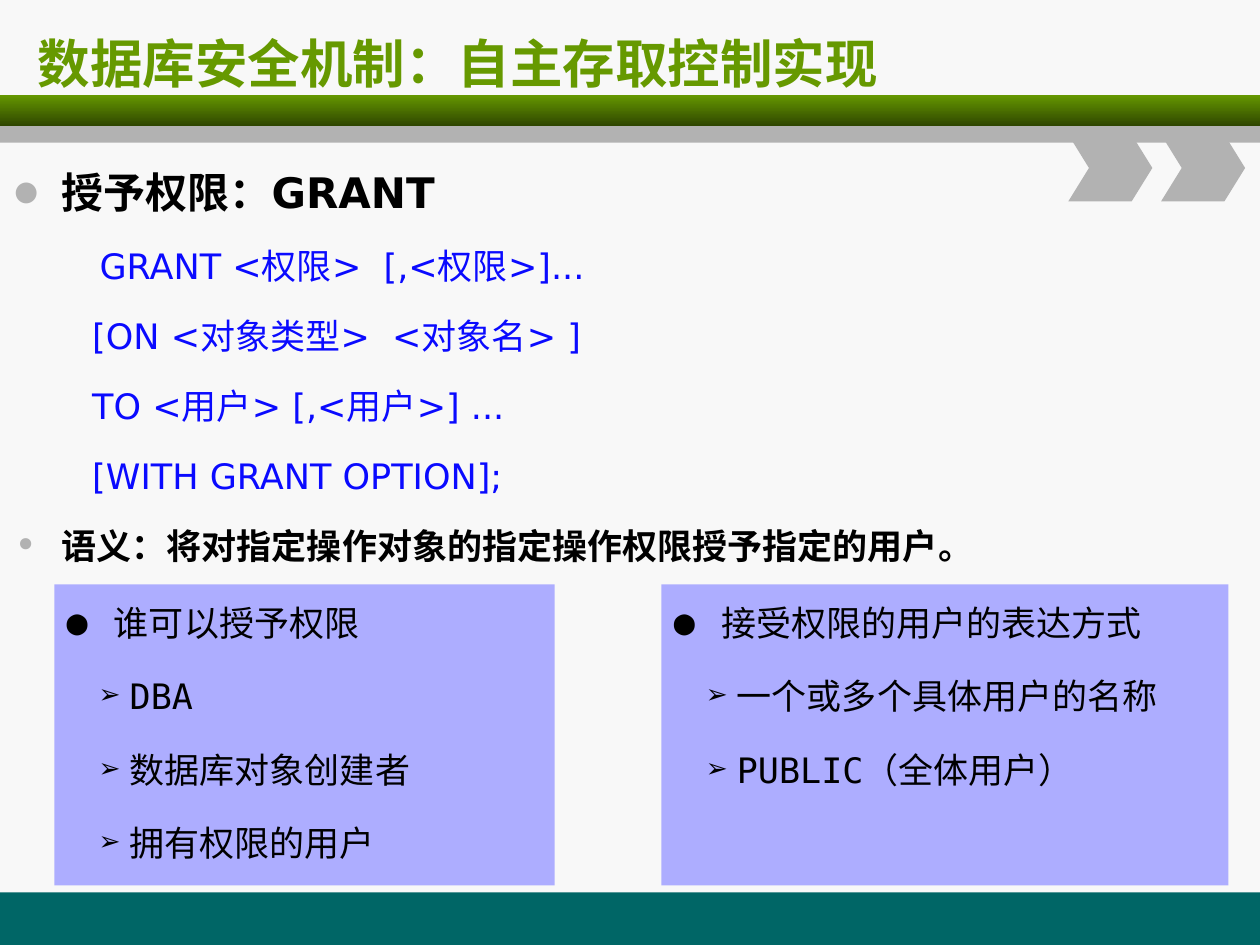
from lxml import etree
from pptx import Presentation
from pptx.dml.color import RGBColor
from pptx.enum.shapes import MSO_SHAPE
from pptx.enum.text import MSO_ANCHOR, MSO_AUTO_SIZE, PP_ALIGN
from pptx.oxml.ns import qn
from pptx.util import Pt

RECT, CHEVRON = MSO_SHAPE.RECTANGLE, MSO_SHAPE.CHEVRON
TOP, MIDDLE = MSO_ANCHOR.TOP, MSO_ANCHOR.MIDDLE
LEFT, JUSTIFY = PP_ALIGN.LEFT, PP_ALIGN.JUSTIFY
NO_FIT = MSO_AUTO_SIZE.NONE
SANS, MONO = "DejaVu Sans", "DejaVu Sans Mono"
COLORS = {"page": "F8F8F8", "green": "669900", "dark": "2F4600", "gray": "B2B2B2",
          "teal": "006666", "panel": "ADADFF", "code": "0A0AFF", "text": "000000"}


def rgb(name):
    """Return the named colour."""
    return RGBColor.from_string(COLORS[name])


class Deck:
    """Hold the slide and its style, and draw each kind of element."""

    def __init__(self, prs):
        self.s = prs.slides.add_slide(prs.slide_layouts[1])
        fill = self.s.background.fill
        fill.solid()
        fill.fore_color.rgb = rgb("page")

    def shape(self, kind, box, color, fade=None):
        """Draw a plain filled shape, optionally fading downwards."""
        sp = self.s.shapes.add_shape(kind, *map(Pt, box))
        sp.shadow.inherit = False
        sp.line.fill.background()
        if fade:
            sp.fill.gradient()
            sp.fill.gradient_angle = 270
            for stop, name in zip(sp.fill.gradient_stops, (color, fade)):
                stop.color.rgb = rgb(name)
        else:
            sp.fill.solid()
            sp.fill.fore_color.rgb = rgb(color)
        return sp

    def placeholder(self, idx, box, anchor=TOP):
        """Move a placeholder into place, in front of what is drawn so far."""
        sp = self.s.placeholders[idx]
        sp.left, sp.top, sp.width, sp.height = map(Pt, box)
        self.s.shapes._spTree.append(sp._element)
        return self.frame(sp, anchor)

    def frame(self, sp, anchor=TOP):
        """Prepare the text frame of a shape."""
        tf = sp.text_frame
        tf.word_wrap = True
        tf.auto_size = NO_FIT
        tf.vertical_anchor = anchor
        return tf

    def paragraph(self, tf, text, size, font=SANS, color="text", bold=False, align=LEFT,
                  spacing=1.0, before=0, margin=0, hang=0, bullet=None, level=0):
        """Add one paragraph, with a bullet given as (character, colour, percent)."""
        p = tf.paragraphs[0] if not tf.text else tf.add_paragraph()
        p.level, p.alignment = level, align
        p.line_spacing, p.space_before = spacing, Pt(before)
        r = p.add_run()
        r.text = text
        r.font.name, r.font.size, r.font.bold = font, Pt(size), bold
        r.font.color.rgb = rgb(color)
        pPr = p._p.get_or_add_pPr()
        pPr.set("marL", str(Pt(margin)))
        pPr.set("indent", str(-Pt(hang)))
        if not bullet:
            etree.SubElement(pPr, qn("a:buNone"))
            return
        char, tint, percent = bullet
        clr = etree.SubElement(pPr, qn("a:buClr"))
        etree.SubElement(clr, qn("a:srgbClr"), val=COLORS[tint])
        etree.SubElement(pPr, qn("a:buSzPct"), val=str(percent * 1000))
        etree.SubElement(pPr, qn("a:buFont"), typeface=font)
        etree.SubElement(pPr, qn("a:buChar"), char=char)

    def panel(self, left, width, heading, items):
        """Draw a coloured panel with a heading and a list of items."""
        tf = self.frame(self.shape(RECT, (left, 334, width, 172), "panel"))
        style = dict(size=20, font=MONO, spacing=Pt(30), before=12)
        self.paragraph(tf, heading, margin=27, hang=27, bullet=("●", "text", 100), **style)
        for item in items:
            self.paragraph(tf, item, margin=36, hang=17, level=1,
                           bullet=("➢", "text", 100), **style)


def main():
    """Build the slide."""
    prs = Presentation()
    prs.slide_width, prs.slide_height = Pt(720), Pt(540)
    deck = Deck(prs)
    deck.shape(RECT, (0, 510, 720, 30), "teal")
    deck.shape(RECT, (0, 54, 720, 18), "green", fade="dark")
    deck.shape(RECT, (0, 72, 720, 9.5), "gray")
    for left in (610.5, 663.5):
        deck.shape(CHEVRON, (left, 77, 48, 38), "gray").adjustments[0] = 0.31

    tf = deck.placeholder(0, (14.5, 12, 687.5, 48), MIDDLE)
    deck.paragraph(tf, "数据库安全机制：自主存取控制实现", 30, color="green", bold=True)

    tf = deck.placeholder(1, (1, 88.5, 677.5, 245.5))
    item = dict(bold=True, align=JUSTIFY, margin=27, hang=27)
    deck.paragraph(tf, "授予权限：GRANT", 24, spacing=1.1, before=4.8,
                   bullet=("●", "gray", 65), **item)
    code = (("GRANT <权限>  [,<权限>]...", 48.7),
            ("[ON <对象类型>  <对象名> ]", 44.5),
            ("TO <用户> [,<用户>] ...", 44.5),
            ("[WITH GRANT OPTION];", 44.5))
    for text, margin in code:
        deck.paragraph(tf, text, 20, color="code", align=JUSTIFY, spacing=1.5,
                       before=4, margin=margin)
    deck.paragraph(tf, "语义：将对指定操作对象的指定操作权限授予指定的用户。", 20,
                   spacing=1.5, before=4, bullet=("•", "gray", 110), **item)

    deck.panel(378, 324, "接受权限的用户的表达方式",
               ("一个或多个具体用户的名称", "PUBLIC（全体用户）"))
    deck.panel(31, 286, "谁可以授予权限",
               ("DBA", "数据库对象创建者", "拥有权限的用户"))
    prs.save("out.pptx")


if __name__ == "__main__":
    main()
